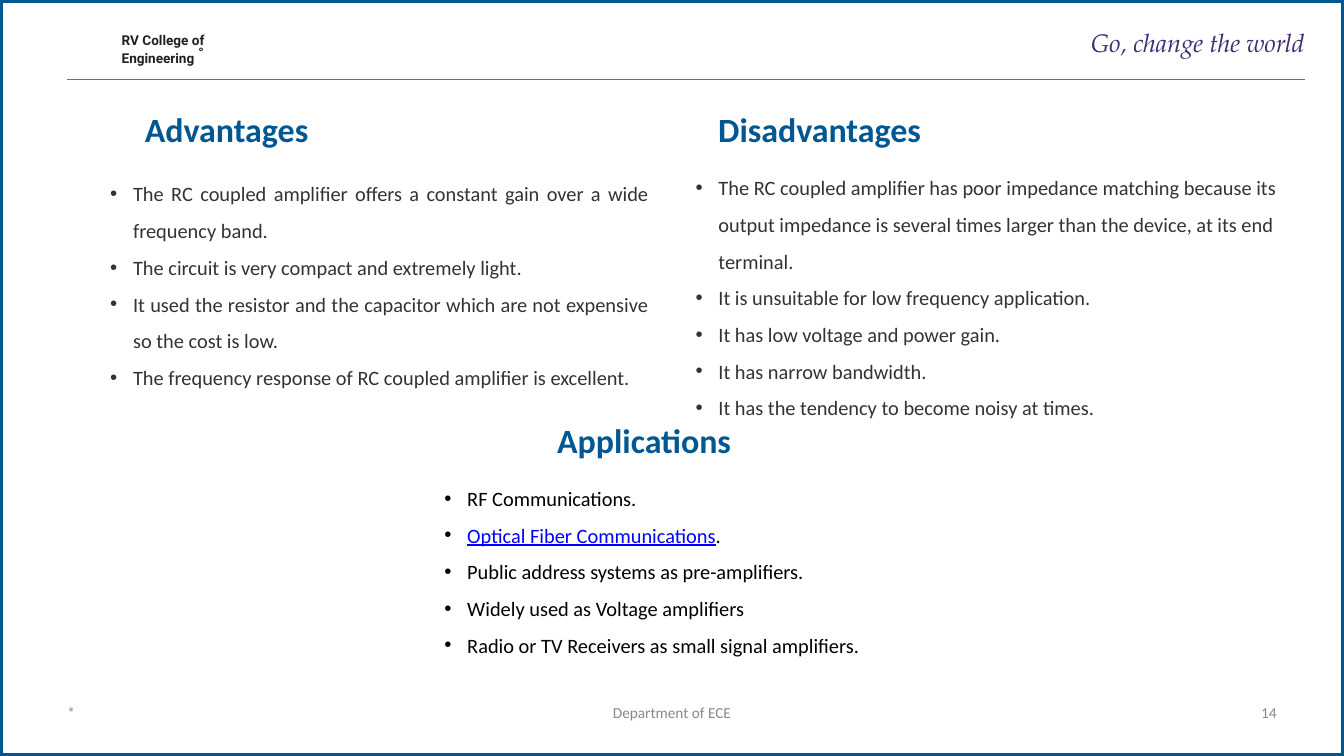
from lxml import etree
from pptx import Presentation
from pptx import util as u
from pptx.dml.color import RGBColor
from pptx.enum import shapes, text
from pptx.oxml.ns import qn

BLUE, INK, GREY, DARK, BLACK = "005893", "333333", "898989", "231F20", "000000"
AL = text.PP_ALIGN


def rgb(value):
    return RGBColor.from_string(value)


class Deck:
    """Hold the text style and the current slide, and draw its elements."""

    def __init__(self, width, height, layout, font="Calibri"):
        self.prs = Presentation()
        self.prs.slide_width, self.prs.slide_height = u.Cm(width), u.Cm(height)
        self.slide = self.prs.slides.add_slide(self.prs.slide_layouts[layout])
        self.font = font

    def frame(self, width, height, color, weight):
        sp = self.slide.shapes.add_shape(
            shapes.MSO_SHAPE.RECTANGLE, 0, 0, u.Cm(width), u.Cm(height))
        sp.shadow.inherit = False
        sp.fill.solid()
        sp.fill.fore_color.rgb = rgb("FFFFFF")
        sp.line.color.rgb = rgb(color)
        sp.line.width = u.Pt(weight)
        self.slide.shapes._spTree.insert(2, sp._element)

    def ring(self, x, y, size, color):
        sp = self.slide.shapes.add_shape(
            shapes.MSO_SHAPE.DONUT, *map(u.Cm, (x, y, size, size)))
        sp.shadow.inherit = False
        sp.fill.solid()
        sp.fill.fore_color.rgb = rgb(color)
        sp.line.fill.background()

    def rule(self, x1, x2, y, color, weight):
        line = self.slide.shapes.add_connector(
            shapes.MSO_CONNECTOR.STRAIGHT, *map(u.Cm, (x1, y, x2, y)))
        line.line.color.rgb = rgb(color)
        line.line.width = u.Pt(weight)
        etree.SubElement(line._element.spPr, qn("a:effectLst"))

    def style(self, r, size, color, bold=False, italic=False, font=None):
        r.font.name = font or self.font
        r.font.size = u.Pt(size)
        r.font.bold, r.font.italic = bold, italic
        r.font.color.rgb = rgb(color)

    def label(self, box, lines, size, color, align=AL.LEFT, ph=None,
              inset=0, spacing=1, gap=0, **look):
        box = [u.Cm(v) for v in box]
        if ph is None:
            sp = self.slide.shapes.add_textbox(*box)
        else:
            sp = self.slide.placeholders[ph]
            sp.left, sp.top, sp.width, sp.height = box
        tf = sp.text_frame
        tf.text = "\n".join(lines)
        tf.word_wrap = True
        tf.auto_size = text.MSO_AUTO_SIZE.NONE
        tf.vertical_anchor = text.MSO_ANCHOR.TOP
        tf.margin_left = tf.margin_right = u.Cm(inset)
        tf.margin_top = tf.margin_bottom = u.Cm(inset)
        for i, p in enumerate(tf.paragraphs):
            p.alignment = align
            p.line_spacing = spacing
            p.space_before = u.Pt(gap if i else 0)
            for r in p.runs:
                self.style(r, size, color, **look)
        return sp

    def heading(self, x, y, title, ph=None):
        self.label((x, y, 10, 2.03), [title], 40, BLUE, ph=ph, bold=True)

    def bullets(self, box, lines, color, align=AL.LEFT, ph=None):
        sp = self.label(box, lines, 24, color, align, ph, inset=0.13, spacing=1.5)
        for p in sp.text_frame.paragraphs:
            pPr = p._p.get_or_add_pPr()
            pPr.set("marL", str(u.Cm(0.95)))
            pPr.set("indent", str(u.Cm(-0.95)))
            clr = etree.SubElement(pPr, qn("a:buClr"))
            etree.SubElement(clr, qn("a:srgbClr"), val=color)
            etree.SubElement(pPr, qn("a:buFont"), typeface="Arial")
            etree.SubElement(pPr, qn("a:buChar"), char="•")
        return sp


def main():
    width, height = 55.86, 31.42
    deck = Deck(width, height, layout=4)
    deck.frame(width, height, BLUE, 6)
    deck.rule(2.8, 54.25, 3.3, "5E6DB3", 1.25)
    deck.ring(8.28, 1.98, 0.15, DARK)
    deck.label((5.06, 1.27, 3.81, 1.37), ["RV College of", "Engineering"], 16, DARK,
               spacing=1.06, gap=1, bold=True, font="Roboto")
    deck.label((44.02, 1.14, 10.21, 1.3), ["Go, change the world"], 30, "422C75",
               AL.RIGHT, ph=0, italic=True, font="TeX Gyre Pagella")

    deck.heading(6.02, 4.52, "Advantages", ph=1)
    deck.bullets((4.45, 6.91, 22.63, 9.5), [
        "The RC coupled amplifier offers a constant gain over a wide frequency band.",
        "The circuit is very compact and extremely light.",
        "It used the resistor and the capacitor which are not expensive so the cost is low.",
        "The frequency response of RC coupled amplifier is excellent.",
    ], INK, AL.JUSTIFY, ph=2)

    deck.heading(29.85, 4.52, "Disadvantages", ph=3)
    deck.bullets((28.78, 6.65, 26.31, 11.02), [
        "The RC coupled amplifier has poor impedance matching because its output "
        "impedance is several times larger than the device, at its end terminal.",
        "It is unsuitable for low frequency application.",
        "It has low voltage and power gain.",
        "It has narrow bandwidth.",
        "It has the tendency to become noisy at times.",
    ], INK, ph=4)

    deck.heading(23.16, 17.45, "Applications")
    sp = deck.bullets((18.34, 19.56, 22.63, 7.95), [
        "RF Communications.",
        "Optical Fiber Communications",
        "Public address systems as pre-amplifiers.",
        "Widely used as Voltage amplifiers",
        "Radio or TV Receivers as small signal amplifiers.",
    ], BLACK)
    p = sp.text_frame.paragraphs[1]
    p.runs[0].font.underline = True
    p.runs[0].font.color.rgb = rgb("0000FF")
    r = p.add_run()
    r.text = "."
    deck.style(r, 24, BLACK)

    for x, w, line, align in ((2.8, 12.85, "*", AL.LEFT),
                              (19, 17.86, "Department of ECE", AL.CENTER),
                              (40.21, 12.85, "14", AL.RIGHT)):
        deck.label((x, 29.21, w, 1.57), [line], 18, GREY, align)
    deck.prs.save("out.pptx")


if __name__ == "__main__":
    main()
